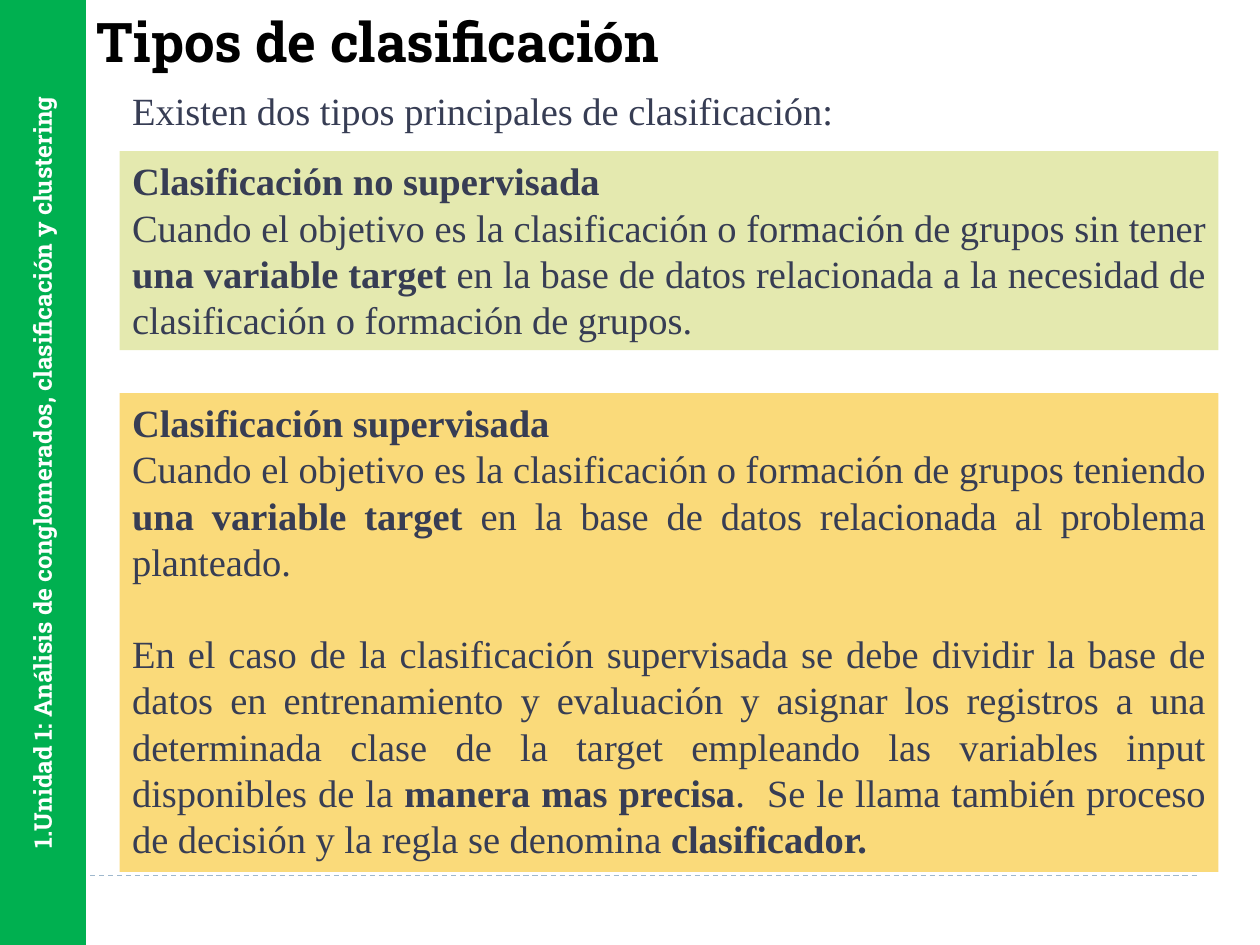
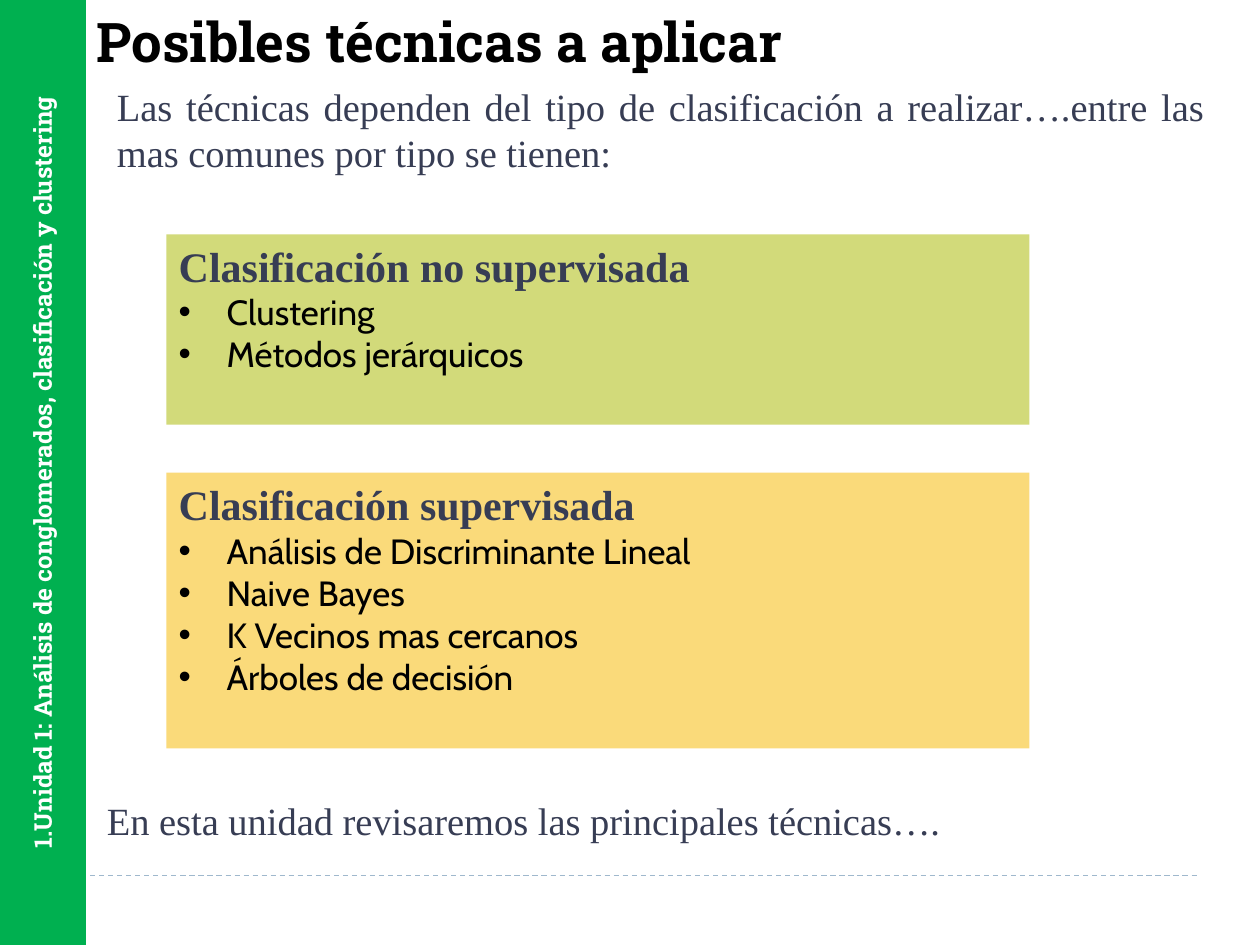
"""Build two slides on classification types and techniques."""
from dataclasses import dataclass

from lxml import etree
from pptx import Presentation
from pptx.dml.color import RGBColor
from pptx.enum.dml import MSO_LINE
from pptx.enum.shapes import MSO_CONNECTOR, MSO_SHAPE
from pptx.enum.text import MSO_ANCHOR, PP_ALIGN
from pptx.oxml.ns import qn
from pptx.presentation import Presentation as Deck
from pptx.shapes.autoshape import Shape
from pptx.slide import Slide
from pptx.util import Inches, Pt

DASH = MSO_LINE.DASH
STRAIGHT = MSO_CONNECTOR.STRAIGHT
RECTANGLE = MSO_SHAPE.RECTANGLE
TOP, MIDDLE = MSO_ANCHOR.TOP, MSO_ANCHOR.MIDDLE
LEFT, CENTER, JUSTIFY = PP_ALIGN.LEFT, PP_ALIGN.CENTER, PP_ALIGN.JUSTIFY

WHITE = RGBColor(0xFF, 0xFF, 0xFF)
BLACK = RGBColor(0x00, 0x00, 0x00)
SLATE = RGBColor(0x37, 0x3D, 0x54)
BAND_GREEN = RGBColor(0x00, 0xB0, 0x50)
RULE_BLUE = RGBColor(0x9F, 0xB8, 0xCD)
PALE_LIME = RGBColor(0xE4, 0xE9, 0xAF)
LIME = RGBColor(0xD2, 0xDA, 0x7A)
AMBER = RGBColor(0xFA, 0xDA, 0x7A)

UNIT = "1.Unidad 1: Análisis de conglomerados, clasificación y clustering"
UNSUPERVISED = "Clasificación no supervisada"
SUPERVISED = "Clasificación supervisada"
BAND_WIDTH = 0.67
BULLET_INDENT = Inches(0.38)


@dataclass(frozen=True)
class Style:
    """Look of one paragraph."""
    font: str
    size: float
    color: RGBColor
    bold: bool = False
    align: PP_ALIGN = JUSTIFY
    bullet: bool = False
    space_before: float = 0


@dataclass(frozen=True)
class Line:
    """One paragraph, in which asterisks enclose bold words."""
    text: str
    style: Style


@dataclass(frozen=True)
class Block:
    """A text area in inches, filled when a colour is given."""
    left: float
    top: float
    width: float
    height: float
    lines: tuple[Line, ...]
    fill: RGBColor | None = None


TITLE = Style("Roboto Slab", 31.2, BLACK, bold=True, align=LEFT)
BAND = Style("Roboto Slab", 14, WHITE, bold=True, align=CENTER)
BODY = Style("Times New Roman", 22, SLATE)
BODY_APART = Style("Times New Roman", 22, SLATE, space_before=26.4)
BODY_HEADING = Style("Times New Roman", 22, SLATE, bold=True)
LIST_HEADING = Style("Times New Roman", 24, SLATE, bold=True)
BULLET = Style("Cabin", 20, BLACK, bullet=True)


def technique_list(heading: str, *techniques: str) -> tuple[Line, ...]:
    """Return a heading followed by its bulleted techniques."""
    return (Line(heading, LIST_HEADING), *(Line(name, BULLET) for name in techniques))


SLIDES = {
    "Tipos de clasificación": (
        Block(0.95, 0.64, 8.72, 0.47, (
            Line("Existen dos tipos principales de clasificación:", BODY),)),
        Block(0.95, 1.2, 8.72, 1.58, (
            Line(UNSUPERVISED, BODY_HEADING),
            Line("Cuando el objetivo es la clasificación o formación de grupos sin tener "
                 "*una variable target* en la base de datos relacionada a la necesidad de "
                 "clasificación o formación de grupos.", BODY)), PALE_LIME),
        Block(0.95, 3.12, 8.72, 3.8, (
            Line(SUPERVISED, BODY_HEADING),
            Line("Cuando el objetivo es la clasificación o formación de grupos teniendo "
                 "*una variable target* en la base de datos relacionada al problema "
                 "planteado.", BODY),
            Line("En el caso de la clasificación supervisada se debe dividir la base de "
                 "datos en entrenamiento y evaluación y asignar los registros a una "
                 "determinada clase de la target empleando las variables input disponibles "
                 "de la *manera mas precisa*.  Se le llama también proceso de decisión y la "
                 "regla se denomina *clasificador.*", BODY_APART)), AMBER),
    ),
    "Posibles técnicas a aplicar": (
        Block(0.83, 0.61, 8.83, 0.84, (
            Line("Las técnicas dependen del tipo de clasificación a realizar….entre las "
                 "mas comunes por tipo se tienen:", BODY),)),
        Block(1.32, 1.86, 6.85, 1.51, technique_list(
            UNSUPERVISED, "Clustering", "Métodos jerárquicos"), LIME),
        Block(1.32, 3.75, 6.85, 2.19, technique_list(
            SUPERVISED, "Análisis de Discriminante Lineal", "Naive Bayes",
            "K Vecinos mas cercanos", "Árboles de decisión"), AMBER),
        Block(0.75, 6.28, 8.83, 0.47, (
            Line("En esta unidad revisaremos las principales técnicas….", BODY),)),
    ),
}


def write_lines(shape: Shape, lines: tuple[Line, ...]) -> None:
    """Write styled paragraphs into a shape."""
    frame = shape.text_frame
    frame.word_wrap = True
    frame.vertical_anchor = TOP
    for index, line in enumerate(lines):
        style = line.style
        paragraph = frame.add_paragraph() if index else frame.paragraphs[0]
        paragraph.alignment = style.align
        paragraph.space_before = Pt(style.space_before)
        if style.bullet:
            properties = paragraph._p.get_or_add_pPr()
            properties.set("marL", str(BULLET_INDENT))
            properties.set("indent", str(-BULLET_INDENT))
            etree.SubElement(properties, qn("a:buFont"), typeface="Arial")
            etree.SubElement(properties, qn("a:buChar"), char="•")
        for position, part in enumerate(line.text.split("*")):
            if part:
                run = paragraph.add_run()
                run.text = part
                run.font.name = style.font
                run.font.size = Pt(style.size)
                run.font.color.rgb = style.color
                run.font.bold = style.bold or position % 2 == 1


def add_block(slide: Slide, block: Block) -> Shape:
    """Draw a text box, or a filled rectangle with text."""
    box = [Inches(value) for value in (block.left, block.top, block.width, block.height)]
    if block.fill is None:
        shape = slide.shapes.add_textbox(*box)
    else:
        shape = slide.shapes.add_shape(RECTANGLE, *box)
        shape.shadow.inherit = False
        shape.fill.solid()
        shape.fill.fore_color.rgb = block.fill
        shape.line.fill.background()
    write_lines(shape, block.lines)
    return shape


def add_frame(slide: Slide, title: str) -> None:
    """Draw the footer rule, the unit band and the title."""
    rule = slide.shapes.add_connector(
        STRAIGHT, Inches(0.5), Inches(6.95), Inches(9.5), Inches(6.95))
    rule.line.color.rgb = RULE_BLUE
    rule.line.width = Pt(0.75)
    rule.line.dash_style = DASH
    etree.SubElement(rule._element.spPr, qn("a:effectLst"))

    band = add_block(slide, Block(0, 0, BAND_WIDTH, 7.5, (Line(UNIT, BAND),), BAND_GREEN))
    band.line.color.rgb = BAND_GREEN
    band.line.width = Pt(1.5)
    band.text_frame.vertical_anchor = MIDDLE
    band.text_frame._txBody.bodyPr.set("vert", "vert270")

    add_block(slide, Block(BAND_WIDTH, 0.01, 9, 1.08, (Line(title, TITLE),)))


def add_slide(presentation: Deck, title: str, blocks: tuple[Block, ...]) -> None:
    """Add one framed slide with its blocks."""
    slide = presentation.slides.add_slide(presentation.slide_layouts[6])
    add_frame(slide, title)
    for block in blocks:
        add_block(slide, block)


def main() -> None:
    """Build and save the presentation."""
    presentation = Presentation()
    presentation.slide_width = Inches(10)
    presentation.slide_height = Inches(7.5)
    for title, blocks in SLIDES.items():
        add_slide(presentation, title, blocks)
    presentation.save("out.pptx")


if __name__ == "__main__":
    main()
